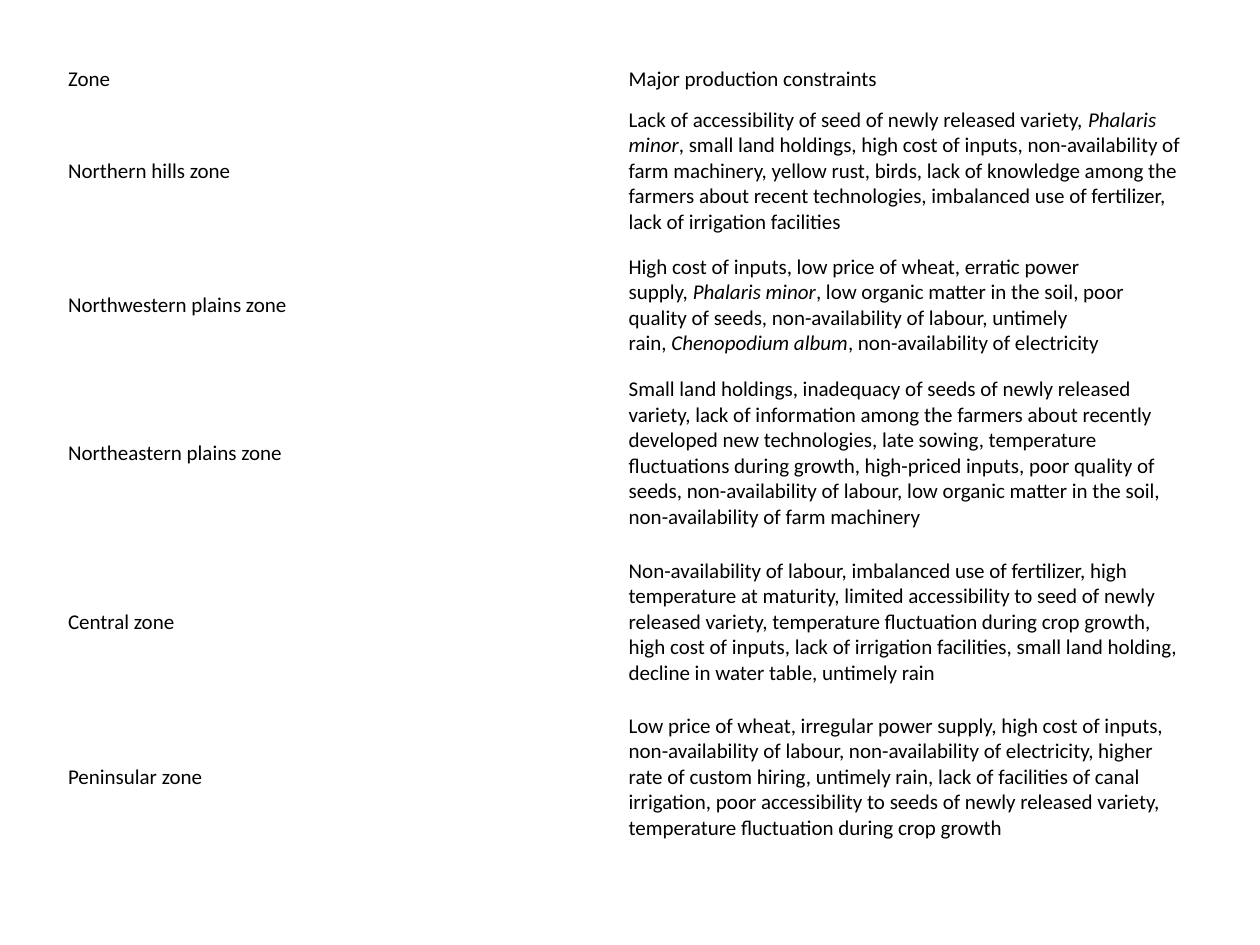
"""Build a slide with a table of wheat production constraints by zone."""
from dataclasses import dataclass

from pptx import Presentation
from pptx.dml.color import RGBColor
from pptx.enum.text import MSO_ANCHOR
from pptx.util import Pt


@dataclass(frozen=True)
class Theme:
    font: str = "Calibri"
    size: float = 12
    ink: RGBColor = RGBColor(0, 0, 0)
    inset_x: float = 2.16
    inset_y: float = 0.72


THEME = Theme()
NO_BREAK_SPACE = chr(160)
COLUMN_WIDTH = 320.4
ROWS = [
    (10.08, "Zone", "Major production constraints"),
    (88.56, "Northern hills zone",
     "Lack of accessibility of seed of newly released variety, *Phalaris minor*, "
     "small land holdings, high cost of inputs, non-availability of farm machinery, "
     "yellow rust, birds, lack of knowledge among the farmers about recent "
     "technologies, imbalanced use of fertilizer, lack of irrigation facilities"),
    (64.8, "Northwestern plains zone",
     "High cost of inputs, low price of wheat, erratic power supply, "
     "*Phalaris minor*, low organic matter in the soil, poor quality of seeds, "
     "non-availability of labour, untimely rain, *Chenopodium album*, "
     "non-availability of electricity"),
    (104.4, "Northeastern plains zone",
     "Small land holdings, inadequacy of seeds of newly released variety, lack of "
     "information among the farmers about recently developed new technologies, late "
     "sowing, temperature fluctuations during growth, high-priced inputs, poor "
     "quality of seeds, non-availability of labour, low organic matter in the soil, "
     "non-availability of farm machinery"),
    (88.56, "Central zone",
     "Non-availability of labour, imbalanced use of fertilizer, high temperature at "
     "maturity, limited accessibility to seed of newly released variety, temperature "
     "fluctuation during crop growth, high cost of inputs, lack of irrigation "
     "facilities, small land holding, decline in water table, untimely rain"),
    (88.56, "Peninsular zone",
     "Low price of wheat, irregular power supply, high cost of inputs, "
     "non-availability of labour, non-availability of electricity, higher rate of "
     "custom hiring, untimely rain, lack of facilities of canal irrigation, poor "
     "accessibility to seeds of newly released variety, temperature fluctuation "
     "during crop growth"),
]


def write_spans(para, text):
    """Write text with starred species names in italics, bound to the word before."""
    bound = text.replace(" *", NO_BREAK_SPACE + "*")
    for index, part in enumerate(bound.split("*")):
        span = para.add_run()
        span.text = part
        span.font.name = THEME.font
        span.font.size = Pt(THEME.size)
        span.font.color.rgb = THEME.ink
        span.font.italic = index % 2 == 1


def fill_cell(cell, text):
    """Format one unfilled cell and write its text."""
    cell.fill.background()
    cell.vertical_anchor = MSO_ANCHOR.MIDDLE
    cell.margin_left = cell.margin_right = Pt(THEME.inset_x)
    cell.margin_top = cell.margin_bottom = Pt(THEME.inset_y)
    write_spans(cell.text_frame.paragraphs[0], text)


def add_constraints_table(page, left, top):
    """Add the two-column table of zones and constraints."""
    height = sum(row_height for row_height, *_ in ROWS)
    table = page.shapes.add_table(
        len(ROWS), 2, Pt(left), Pt(top), Pt(2 * COLUMN_WIDTH), Pt(height)).table
    table.first_row = table.horz_banding = False
    for row, (row_height, *texts) in zip(table.rows, ROWS):
        row.height = Pt(row_height)
        for cell, text in zip(row.cells, texts):
            fill_cell(cell, text)


def main():
    """Build and save the deck."""
    deck = Presentation()
    deck.slide_width, deck.slide_height = Pt(720), Pt(540)
    page = deck.slides.add_slide(deck.slide_layouts[6])
    add_constraints_table(page, 36.72, 37.44)
    deck.save("out.pptx")


if __name__ == "__main__":
    main()
